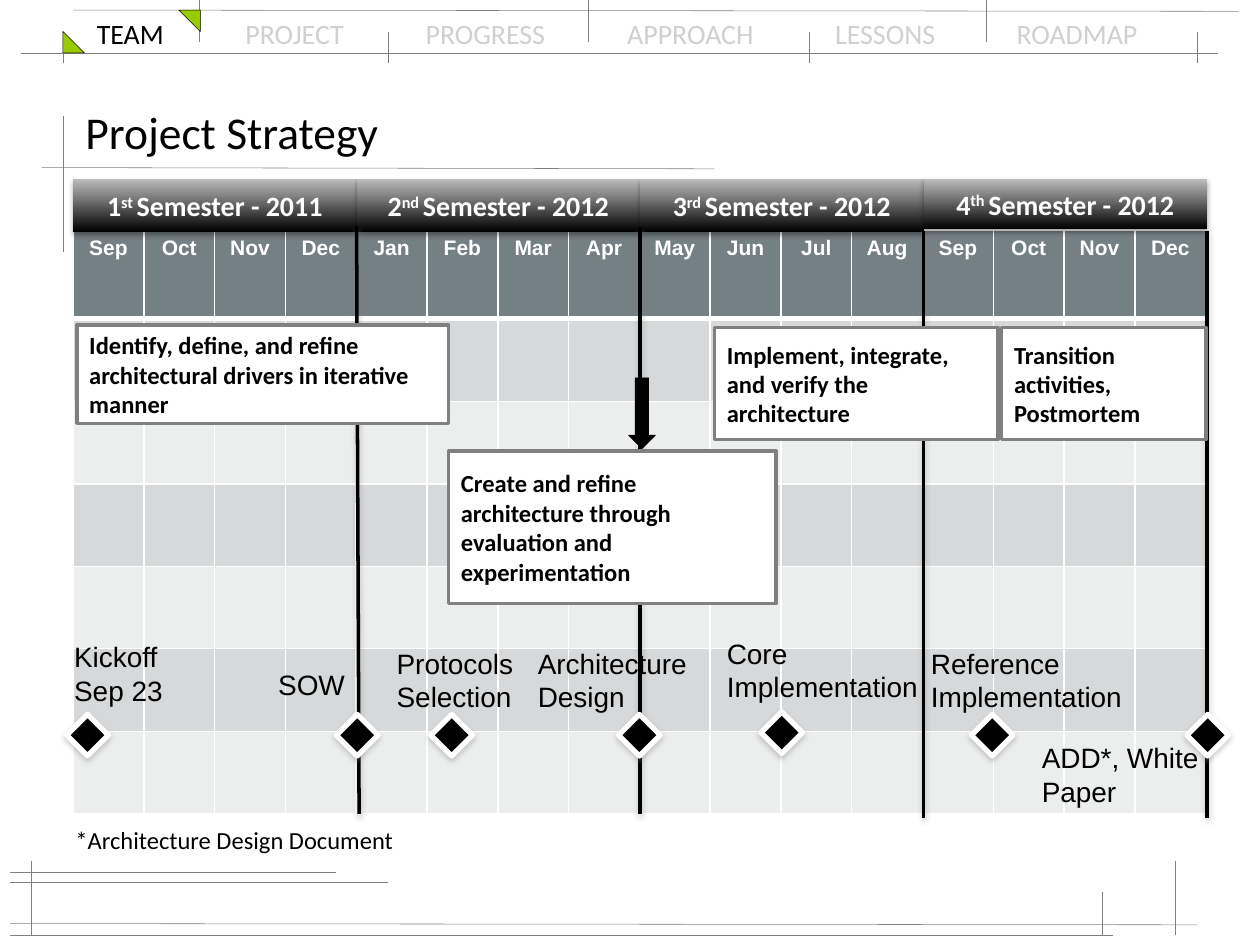
import pptx
import pptx.util
import pptx.dml.color
import pptx.enum.shapes
import pptx.enum.text
import pptx.oxml
import pptx.oxml.ns
import lxml.etree

Inches, Pt = pptx.util.Inches, pptx.util.Pt
RGB = pptx.dml.color.RGBColor.from_string
MSO = pptx.enum.shapes.MSO_SHAPE
STRAIGHT = pptx.enum.shapes.MSO_CONNECTOR.STRAIGHT
ANCHOR, ALIGN = pptx.enum.text.MSO_ANCHOR, pptx.enum.text.PP_ALIGN
qn = pptx.oxml.ns.qn

COLORS = {"black": "000000", "white": "FFFFFF", "grey": "808080", "muted": "D0D0D0",
          "green": "99CC00", "header": "758085", "dark_band": "D6D8D9",
          "light_band": "ECEDED", "silver": "BDBDBD"}

prs = pptx.Presentation()
prs.slide_width, prs.slide_height = Inches(10), Inches(7.5)
s = prs.slides.add_slide(prs.slide_layouts[6])


def write(sp, text, size, name, bold=False, anchor=ANCHOR.TOP, wrap=True):
    """Fill a shape with left-aligned black text, one paragraph per line."""
    tf = sp.text_frame
    tf.word_wrap, tf.vertical_anchor = wrap, anchor
    tf.text = text
    for p in tf.paragraphs:
        p.alignment = ALIGN.LEFT
        p.font.size, p.font.name, p.font.bold = Pt(size), name, bold
        p.font.color.rgb = RGB(COLORS["black"])


def set_shadow(sp, color=None, alpha=0):
    """Replace the theme shadow by a soft downward one, or by none."""
    sp_pr = sp._element.spPr
    effects = sp_pr.find(qn("a:effectLst"))
    if effects is None:
        effects = lxml.etree.SubElement(sp_pr, qn("a:effectLst"))
    if color:
        shadow = lxml.etree.SubElement(effects, qn("a:outerShdw"), blurRad=str(Pt(3.1)),
                                       dist=str(Pt(1.7)), dir="5400000", rotWithShape="0")
        clr = lxml.etree.SubElement(shadow, qn("a:srgbClr"), val=COLORS[color])
        lxml.etree.SubElement(clr, qn("a:alpha"), val=str(alpha * 1000))


# Navigation bar: one line of text on tab stops
sp = s.shapes.add_textbox(Inches(0.67), Inches(0.08), Inches(8.67), Inches(0.37))
write(sp, "", 16, "Calibri")
p = sp.text_frame.paragraphs[0]
tabs = pptx.oxml.parse_xml(f'<a:tabLst {pptx.oxml.ns.nsdecls("a")}/>')
for pos in (1.18, 2.61, 4.21, 5.86, 7.3):
    lxml.etree.SubElement(tabs, qn("a:tab"), pos=str(Inches(pos)), algn="l")
p._p.get_or_add_pPr().find(qn("a:defRPr")).addprevious(tabs)
p.add_run().text = "TEAM"
r = p.add_run()
r.text = "\tPROJECT\tPROGRESS\tAPPROACH\tLESSONS\tROADMAP"
r.font.color.rgb = RGB(COLORS["muted"])

# Thin drafting lines
rules = [(0.17, 0.42, 9.67, 0.42), (0.58, 0.08, 9.83, 0.09), (0.5, 0.92, 0.5, 2),
         (0.33, 1.33, 5.67, 1.34), (0.08, 7, 3.08, 7), (0.08, 7.33, 9.5, 7.34),
         (0.25, 6.83, 0.25, 7.42), (0.08, 6.92, 2.67, 6.92), (0.08, 7.42, 8.83, 7.42),
         (9.33, 6.83, 9.33, 7.42), (8.75, 7.08, 8.75, 7.42)]
rules += [(x, 0.25, x, 0.5) for x in (0.5, 3.08, 6.42, 9.5)]
rules += [(x, 0, x, 0.33) for x in (1.58, 4.67, 7.83)]
for rule in rules:
    line = s.shapes.add_connector(STRAIGHT, *map(Inches, rule))
    line.line.color.rgb = RGB(COLORS["grey"])
    line.line.width = Pt(0.3)
    set_shadow(line)

# Green corners of the active tab
for x, y, angle in ((0.5, 0.25, 0), (1.42, 0.08, 180)):
    sp = s.shapes.add_shape(MSO.RIGHT_TRIANGLE, Inches(x), Inches(y), Inches(0.17), Inches(0.17))
    sp.rotation = angle
    sp.shadow.inherit = False
    sp.fill.solid()
    sp.fill.fore_color.rgb = RGB(COLORS["green"])
    sp.line.color.rgb = RGB(COLORS["black"])
    sp.line.width = Pt(0.3)

# Title
sp = s.shapes.add_textbox(Inches(0.58), Inches(0.75), Inches(8.83), Inches(0.58))
write(sp, "Project Strategy", 26, "Calibri", anchor=ANCHOR.MIDDLE)

# Month grid
months = "Sep Oct Nov Dec Jan Feb Mar Apr May Jun Jul Aug Sep Oct Nov Dec".split()
rows, width, height, header_height = 7, 8.99, 4.63, 0.7
table = s.shapes.add_table(rows, len(months), Inches(0.58), Inches(1.83),
                           Inches(width), Inches(height)).table
for col in table.columns:
    col.width = Inches(width / len(months))
for i, row in enumerate(table.rows):
    row.height = Inches((height - header_height) / (rows - 1) if i else header_height)
    band = "header" if i == 0 else "dark_band" if i % 2 else "light_band"
    for j, cell in enumerate(row.cells):
        for side in "LRTB":
            thick = (i, side) in ((0, "B"), (1, "T"))
            ln = lxml.etree.SubElement(cell._tc.get_or_add_tcPr(), qn(f"a:ln{side}"),
                                       w=str(Pt(3 if thick else 1)))
            fill = lxml.etree.SubElement(ln, qn("a:solidFill"))
            lxml.etree.SubElement(fill, qn("a:srgbClr"), val=COLORS["white"])
        cell.fill.solid()
        cell.fill.fore_color.rgb = RGB(COLORS[band])
        if i == 0:
            write(cell, months[j], 12, "Arial", bold=True)
            p = cell.text_frame.paragraphs[0]
            p.alignment = ALIGN.CENTER
            p.font.color.rgb = RGB(COLORS["white"])

# Semester headings
semesters = [("1", "st ", 2011, 0.42), ("2", "nd ", 2012, 0.42),
             ("3", "rd ", 2012, 0.42), ("4", "th ", 2012, 0.4)]
for i, (number, suffix, year, h) in enumerate(semesters):
    sp = s.shapes.add_shape(MSO.RECTANGLE, Inches(0.58 + 2.25 * i), Inches(1.42),
                            Inches(2.25), Inches(h))
    sp.shadow.inherit = False
    set_shadow(sp, "black", 35)
    sp.fill.gradient()
    sp.fill.gradient_angle = 90
    for stop, color in zip(sp.fill.gradient_stops, ("black", "silver")):
        stop.color.rgb = RGB(COLORS[color])
    sp.line.fill.background()
    write(sp, number, 16, "Calibri", bold=True, anchor=ANCHOR.MIDDLE)
    p = sp.text_frame.paragraphs[0]
    p.alignment = ALIGN.CENTER
    p.font.color.rgb = RGB(COLORS["white"])
    r = p.add_run()
    r.text = suffix
    r.font._element.set("baseline", "30000")
    p.add_run().text = f"Semester - {year}"
    for r in p.runs:
        r.font.color.rgb = RGB(COLORS["white"])

# Semester dividers
for x1, y1, x2, y2 in ((2.83, 1.79, 2.85, 6.46), (5.08, 1.8, 5.08, 6.46),
                       (7.33, 1.83, 7.33, 6.49), (9.58, 1.83, 9.58, 6.49)):
    line = s.shapes.add_connector(STRAIGHT, Inches(x1), Inches(y1), Inches(x2), Inches(y2))
    line.line.color.rgb = RGB(COLORS["black"])
    line.line.width = Pt(2)
    set_shadow(line, "grey", 38)

# Phase boxes
phases = [
    (0.61, 2.58, 2.95, 0.78, "Identify, define, and refine architectural drivers in iterative manner"),
    (3.56, 3.58, 2.6, 1.21, "Create and refine architecture through evaluation and experimentation"),
    (5.67, 2.6, 2.25, 0.89, "Implement, integrate, and verify the architecture"),
    (7.95, 2.6, 1.62, 0.89, "Transition activities,\nPostmortem")]
for *box, text in phases:
    sp = s.shapes.add_shape(MSO.RECTANGLE, *map(Inches, box))
    sp.shadow.inherit = False
    sp.fill.solid()
    sp.fill.fore_color.rgb = RGB(COLORS["white"])
    sp.line.color.rgb = RGB(COLORS["grey"])
    sp.line.width = Pt(2)
    write(sp, text, 14, "Calibri", bold=True, anchor=ANCHOR.MIDDLE)

# Milestones: diamond position, then label box, text and wrapping
milestones = [
    (0.53, 5.67, (0.49, 5.03, 0.91, 0.64), "Kickoff\nSep 23", False),
    (2.67, 5.67, (2.11, 5.25, 0.74, 0.37), "SOW", False),
    (3.42, 5.67, (3.05, 5.08, 1.5, 0.64), "Protocols Selection", True),
    (4.91, 5.67, (4.17, 5.08, 1.42, 0.64), "Architecture Design", True),
    (6.04, 5.65, (5.67, 5, 1.75, 0.64), "Core Implementation", True),
    (7.71, 5.67, (7.29, 5.08, 1.88, 0.64), "Reference Implementation", True),
    (9.42, 5.67, (8.17, 5.83, 1.5, 0.64), "ADD*, White Paper", True)]
for x, y, box, text, wrap in milestones:
    sp = s.shapes.add_shape(MSO.DIAMOND, Inches(x), Inches(y), Inches(0.33), Inches(0.33))
    sp.shadow.inherit = False
    set_shadow(sp, "grey", 38)
    sp.fill.solid()
    sp.fill.fore_color.rgb = RGB(COLORS["black"])
    sp.line.color.rgb = RGB(COLORS["white"])
    sp.line.width = Pt(3)
    write(s.shapes.add_textbox(*map(Inches, box)), text, 16, "Arial", wrap=wrap)

# Arrow to the second phase
sp = s.shapes.add_shape(MSO.DOWN_ARROW, Inches(4.99), Inches(3), Inches(0.21), Inches(0.56))
sp.shadow.inherit = False
sp.fill.solid()
sp.fill.fore_color.rgb = RGB(COLORS["black"])
sp.line.color.rgb = RGB(COLORS["black"])
sp.line.width = Pt(0.5)

# Footnote
sp = s.shapes.add_textbox(Inches(0.5), Inches(6.5), Inches(3.22), Inches(0.34))
write(sp, "*Architecture Design Document", 14, "Calibri")

prs.save("out.pptx")
